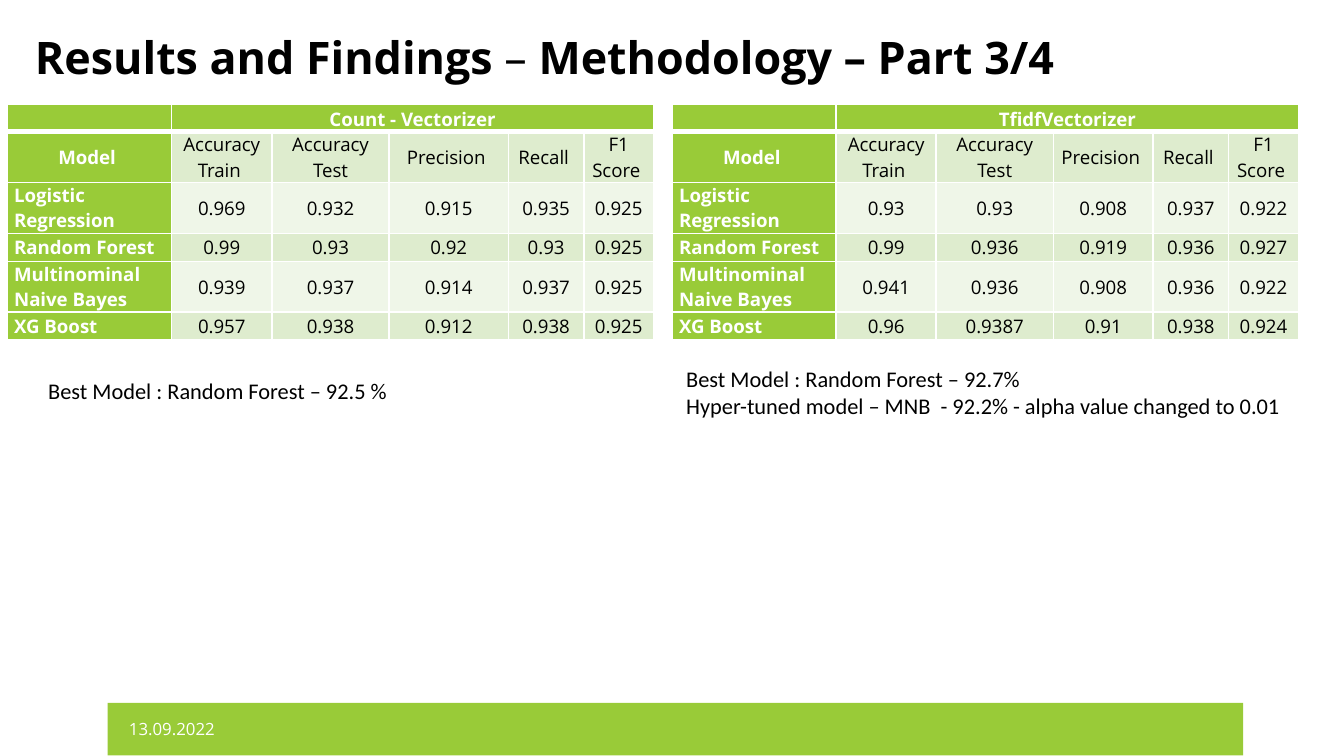
from dataclasses import dataclass

from lxml import etree
from pptx import Presentation
from pptx.dml.color import RGBColor
from pptx.enum.shapes import MSO_SHAPE
from pptx.enum.text import MSO_ANCHOR, PP_ALIGN
from pptx.oxml.ns import qn
from pptx.util import Pt

RECTANGLE = MSO_SHAPE.RECTANGLE
TOP, MIDDLE, BOTTOM = MSO_ANCHOR.TOP, MSO_ANCHOR.MIDDLE, MSO_ANCHOR.BOTTOM
LEFT, CENTER, JUSTIFY = PP_ALIGN.LEFT, PP_ALIGN.CENTER, PP_ALIGN.JUSTIFY


@dataclass(frozen=True)
class Theme:
    """Colours, fonts and type sizes of the deck."""
    green: str = "99CB38"
    band_dark: str = "DEECCE"
    band_light: str = "EFF6E8"
    white: str = "FFFFFF"
    black: str = "000000"
    main_font: str = "Open Sans"
    note_font: str = "Calibri"
    title_size: float = 24
    note_size: float = 12
    table_size: float = 10
    date_size: float = 9


THEME = Theme()
METRICS = ["Accuracy Train ", "Accuracy Test", "Precision ", "Recall ", "F1 Score "]
MODELS = ["Logistic Regression ", "Random Forest ", "Multinominal Naive Bayes ", "XG Boost "]
ROW_HEIGHTS = [15, 27.25, 27.25, 15, 27.25, 15]
COUNT_SCORES = [
    ["0.969", "0.932", "0.915", "0.935", "0.925"],
    ["0.99", "0.93", "0.92", "0.93", "0.925"],
    ["0.939", "0.937", "0.914", "0.937", "0.925"],
    ["0.957", "0.938", "0.912", "0.938", "0.925"],
]
TFIDF_SCORES = [
    ["0.93", "0.93", "0.908", "0.937", "0.922"],
    ["0.99", "0.936", "0.919", "0.936", "0.927"],
    ["0.941", "0.936", "0.908", "0.936", "0.922"],
    ["0.96", "0.9387", "0.91", "0.938", "0.924"],
]


def write_span(para, text, font=THEME.main_font, size=THEME.table_size,
               color=THEME.black, bold=False):
    """Append one formatted run to a paragraph."""
    span = para.add_run()
    span.text = text
    span.font.name = font
    span.font.size = Pt(size)
    span.font.bold = bold
    span.font.color.rgb = RGBColor.from_string(color)


def add_text_box(page, box, insets=(7.2, 3.6, 7.2, 3.6), anchor=TOP):
    """Add an empty wrapping text box and return its frame."""
    frame = page.shapes.add_textbox(*map(Pt, box)).text_frame
    frame.word_wrap = True
    frame.vertical_anchor = anchor
    frame.margin_left, frame.margin_top, frame.margin_right, frame.margin_bottom = map(Pt, insets)
    return frame


def add_title(page, box):
    """Place the heading with its lighter first dash."""
    para = add_text_box(page, box, insets=(0, 0, 0, 3.6)).paragraphs[0]
    for text, bold in [("Results and Findings", True), (" – ", False),
                       ("Methodology – Part 3/4", True)]:
        write_span(para, text, size=THEME.title_size, bold=bold)


def add_note(page, box, lines):
    """Place a note with one paragraph for each line."""
    frame = add_text_box(page, box)
    for index, line in enumerate(lines):
        para = frame.add_paragraph() if index else frame.paragraphs[0]
        write_span(para, line, font=THEME.note_font, size=THEME.note_size)


def add_footer(page, box):
    """Place the footer bar with the date inside it."""
    left, top, width, height = box
    bar = page.shapes.add_shape(RECTANGLE, *map(Pt, box))
    bar.shadow.inherit = False
    bar.fill.solid()
    bar.fill.fore_color.rgb = RGBColor.from_string(THEME.green)
    bar.line.fill.background()
    date_box = (left + 11.5, top + 2.9, 86.4, 21.6)
    para = add_text_box(page, date_box, insets=(0, 0, 0, 0), anchor=MIDDLE).paragraphs[0]
    para.space_before, para.space_after = Pt(1.8), Pt(6)
    write_span(para, "13.09.2022", size=THEME.date_size, color=THEME.white)


def set_borders(cell, bottom_width):
    """Draw white borders round a cell."""
    properties = cell._tc.get_or_add_tcPr()
    for index, side in enumerate("LRTB"):
        width = bottom_width if side == "B" else 1
        line = etree.Element(qn(f"a:ln{side}"), w=str(Pt(width)))
        fill = etree.SubElement(line, qn("a:solidFill"))
        etree.SubElement(fill, qn("a:srgbClr"), val=THEME.white)
        properties.insert(index, line)


def fill_cell(cell, text, fill, bottom_width=1, anchor=MIDDLE, align=CENTER, **style):
    """Write and format one table cell."""
    cell.margin_left = cell.margin_right = Pt(3.6)
    cell.margin_top = cell.margin_bottom = Pt(0)
    cell.vertical_anchor = anchor
    cell.fill.solid()
    cell.fill.fore_color.rgb = RGBColor.from_string(fill)
    set_borders(cell, bottom_width)
    para = cell.text_frame.paragraphs[0]
    para.alignment = align
    para.space_before = Pt(6)
    if text:
        write_span(para, text, **style)
    else:
        etree.SubElement(para._p, qn("a:endParaRPr"), sz=str(THEME.table_size * 100))


def add_score_table(page, box, column_widths, heading, scores):
    """Place a table of model scores under a merged heading."""
    rows = [["", heading, "", "", "", ""], ["Model ", *METRICS]]
    rows += [[model, *values] for model, values in zip(MODELS, scores)]
    table = page.shapes.add_table(len(rows), len(column_widths), *map(Pt, box)).table
    for column, width in zip(table.columns, column_widths):
        column.width = Pt(width)
    for row, height in zip(table.rows, ROW_HEIGHTS):
        row.height = Pt(height)
    table.cell(0, 1).merge(table.cell(0, len(column_widths) - 1))
    for r, values in enumerate(rows):
        for c, text in enumerate(values):
            header = r == 0 or c == 0
            band = THEME.band_dark if r % 2 else THEME.band_light
            fill_cell(
                table.cell(r, c), text, THEME.green if header else band,
                bottom_width=1 if r else 3,
                anchor=MIDDLE if r else BOTTOM,
                align=JUSTIFY if c == 0 and r > 1 else CENTER,
                color=THEME.white if header else THEME.black, bold=header)


def build_results_page(deck):
    """Build the page that compares the two vectorizers."""
    page = deck.slides.add_slide(deck.slide_layouts[6])
    add_footer(page, (57.6, 376.6, 608.4, 28.1))
    add_title(page, (18.7, 15.8, 653, 39.6))
    add_score_table(page, (4, 55.6, 346, 126), [87.8, 54, 62.6, 64, 40.4, 37.4],
                    "Count - Vectorizer", COUNT_SCORES)
    add_score_table(page, (360.2, 55.6, 335.5, 126), [87.8, 53.5, 62.8, 53.5, 40.4, 37.4],
                    "TfidfVectorizer", TFIDF_SCORES)
    add_note(page, (18.7, 198.7, 307.4, 21.6), ["Best Model : Random Forest – 92.5 % "])
    add_note(page, (360.5, 192, 341.3, 36), [
        "Best Model : Random Forest – 92.7%",
        "Hyper-tuned model – MNB  - 92.2% - alpha value changed to 0.01"])


def main():
    """Create and save the deck."""
    deck = Presentation()
    deck.slide_width, deck.slide_height = Pt(720), Pt(405)
    build_results_page(deck)
    deck.save("out.pptx")


main()
